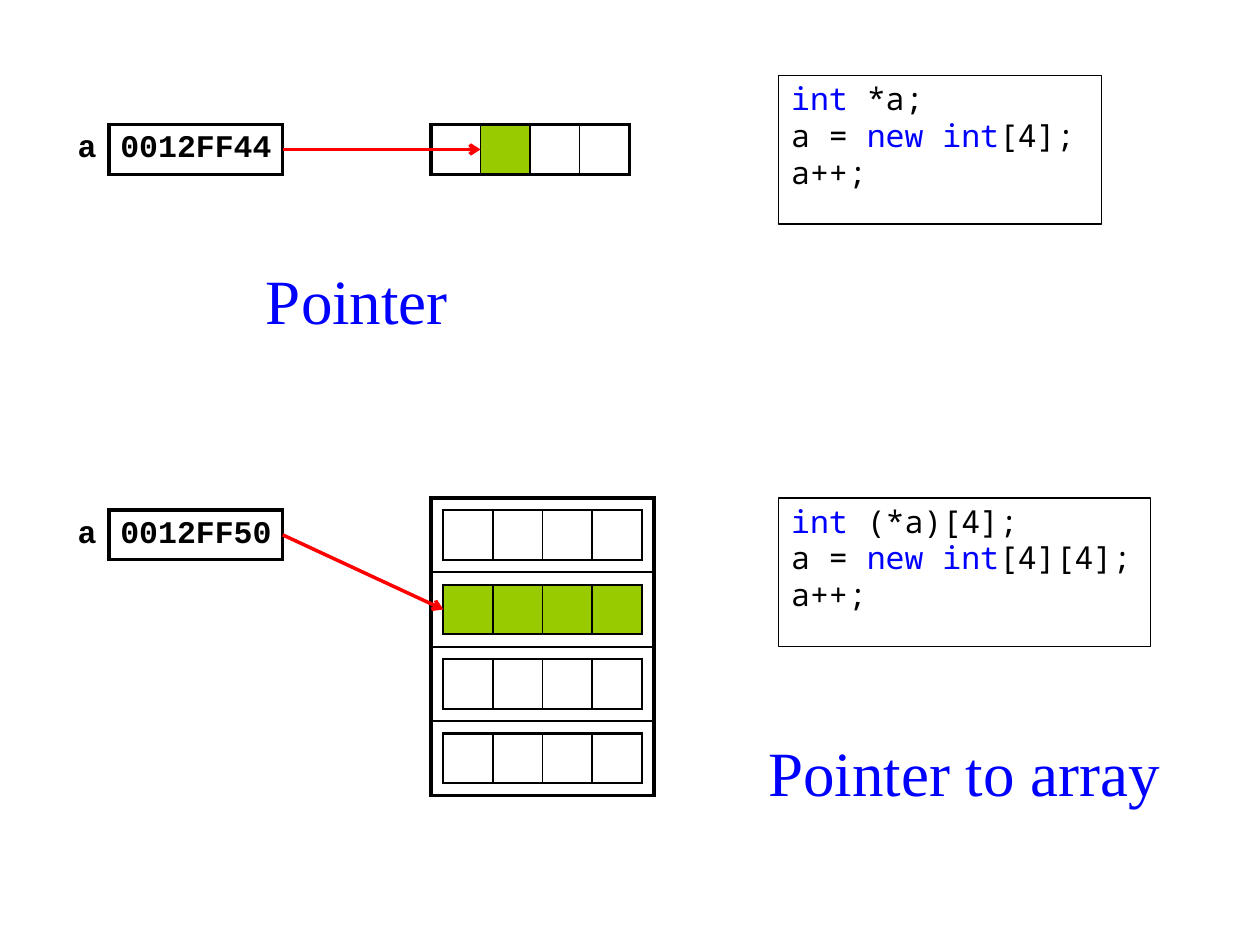
from lxml.etree import SubElement
from pptx import Presentation
from pptx.dml.color import RGBColor
from pptx.enum.shapes import MSO_CONNECTOR, MSO_SHAPE
from pptx.enum.text import MSO_ANCHOR, PP_ALIGN
from pptx.oxml.ns import qn
from pptx.util import Pt

BLACK = RGBColor(0, 0, 0)
WHITE = RGBColor(255, 255, 255)
BLUE = RGBColor(0, 0, 255)
RED = RGBColor(255, 0, 0)
GREEN = RGBColor(0x99, 0xCC, 0)

# Content: code lines are lists of (text, colour) runs
CODE = [
    ((445, 43, 184.5, 85), [
        [("int", BLUE), (" *a;", BLACK)],
        [("a = ", BLACK), ("new int", BLUE), ("[4];", BLACK)],
        [("a++;", BLACK)]]),
    ((445, 284.5, 212.5, 85), [
        [("int", BLUE), (" (*a)[4];", BLACK)],
        [("a = ", BLACK), ("new int", BLUE), ("[4][4];", BLACK)],
        [("a++;", BLACK)]]),
]
HEADINGS = [("Pointer", (133, 142.5, 142, 57)),
            ("Pointer to array", (430.5, 412, 241, 57))]
POINTERS = [("0012FF44", 71.25), ("0012FF50", 291.5)]

# Geometry: small cells are squares, matrix rows leave a gap around them
CELL = 28.35
GAP = CELL / 4
POINTER_X, ADDRESS_W = 34, 99.25
POINTER_END = POINTER_X + CELL + ADDRESS_W
ARRAY_X, ARRAY_Y = 246.25, POINTERS[0][1]
MATRIX_Y = 284.5
ROW_H = CELL + 2 * GAP
N = 4
SELECTED = 1

prs = Presentation()
prs.slide_width, prs.slide_height = Pt(720), Pt(540)
s = prs.slides.add_slide(prs.slide_layouts[6])


def set_borders(cell, widths):
    """Draw left, right, top and bottom borders; a width of 0 means none."""
    tcPr = cell._tc.get_or_add_tcPr()
    for side, width in zip("LRTB", widths):
        ln = SubElement(tcPr, qn(f"a:ln{side}"), w=str(Pt(width)))
        if width:
            fill = SubElement(ln, qn("a:solidFill"))
            SubElement(fill, qn("a:srgbClr"), val=str(BLACK))
        else:
            SubElement(ln, qn("a:noFill"))


def add_grid(x, y, col_widths, row_heights, outer, inner):
    frame = s.shapes.add_table(len(row_heights), len(col_widths), Pt(x), Pt(y),
                               Pt(sum(col_widths)), Pt(sum(row_heights)))
    table = frame.table
    table.first_row = table.horz_banding = False
    for column, width in zip(table.columns, col_widths):
        column.width = Pt(width)
    for row, height in zip(table.rows, row_heights):
        row.height = Pt(height)
    last_row, last_col = len(row_heights) - 1, len(col_widths) - 1
    for i, row in enumerate(table.rows):
        for j, cell in enumerate(row.cells):
            edges = (j == 0, j == last_col, i == 0, i == last_row)
            set_borders(cell, [outer if edge else inner for edge in edges])
            cell.fill.background()
            cell.margin_left = cell.margin_right = 0
            cell.margin_top = cell.margin_bottom = 0
    return table


def add_array(x, y, outer, selected):
    table = add_grid(x, y, [CELL] * N, [CELL], outer, 1)
    for i, cell in enumerate(table.rows[0].cells):
        cell.fill.solid()
        cell.fill.fore_color.rgb = GREEN if i in selected else WHITE


def add_run(p, text, font, size, color, bold=False):
    r = p.add_run()
    r.text = text
    r.font.name, r.font.size, r.font.bold = font, Pt(size), bold
    r.font.color.rgb = color


def add_pointer(address, y):
    table = add_grid(POINTER_X, y, [CELL, ADDRESS_W], [CELL], 0, 0)
    columns = [("a", PP_ALIGN.RIGHT, 7.2, (0, 2.25, 0, 0)),
               (address, PP_ALIGN.CENTER, 5.6, (2.25,) * 4)]
    for cell, (text, align, margin, widths) in zip(table.rows[0].cells, columns):
        tcPr = cell._tc.get_or_add_tcPr()
        for child in list(tcPr):
            tcPr.remove(child)
        set_borders(cell, widths)
        cell.fill.background()
        cell.margin_left = cell.margin_right = Pt(margin)
        cell.vertical_anchor = MSO_ANCHOR.MIDDLE
        p = cell.text_frame.paragraphs[0]
        p.alignment = align
        add_run(p, text, "Courier New", 18, BLACK, True)


def add_arrow(x1, y1, x2, y2):
    sp = s.shapes.add_connector(MSO_CONNECTOR.STRAIGHT, Pt(x1), Pt(y1), Pt(x2), Pt(y2))
    sp.line.color.rgb, sp.line.width = RED, Pt(2)
    SubElement(sp.line._get_or_add_ln(), qn("a:tailEnd"), type="arrow")
    SubElement(sp._element.spPr, qn("a:effectLst"))


# Code boxes
for box, lines in CODE:
    sp = s.shapes.add_shape(MSO_SHAPE.RECTANGLE, *map(Pt, box))
    sp.shadow.inherit = False
    sp.fill.background()
    sp.line.color.rgb, sp.line.width = BLACK, Pt(0.75)
    tf = sp.text_frame
    tf.word_wrap = True
    tf.vertical_anchor = MSO_ANCHOR.TOP
    tf.margin_top = Pt(4.6)
    for i, line in enumerate(lines):
        p = tf.add_paragraph() if i else tf.paragraphs[0]
        p.alignment = PP_ALIGN.LEFT
        p.line_spacing = 0.9
        if i:
            p.space_before = Pt(1.6)
        for text, color in line:
            add_run(p, text, "Noto Sans Mono", 18, color)

# Headings
for text, box in HEADINGS:
    tf = s.shapes.add_textbox(*map(Pt, box)).text_frame
    tf.word_wrap = True
    tf.vertical_anchor = MSO_ANCHOR.MIDDLE
    p = tf.paragraphs[0]
    p.alignment = PP_ALIGN.CENTER
    add_run(p, text, "Times New Roman", 36, BLUE)

# Pointers, the array and the array of arrays
for address, y in POINTERS:
    add_pointer(address, y)
add_array(ARRAY_X, ARRAY_Y, 2.25, [SELECTED])
add_grid(ARRAY_X, MATRIX_Y, [N * CELL + 2 * GAP], [ROW_H] * N, 2.25, 1.5)
for i in range(N):
    add_array(ARRAY_X + GAP, MATRIX_Y + GAP + i * ROW_H, 1.5,
              range(N) if i == SELECTED else [])

# Arrows to the selected element and the selected row
add_arrow(POINTER_END, ARRAY_Y + CELL / 2,
          ARRAY_X + SELECTED * CELL, ARRAY_Y + CELL / 2)
add_arrow(POINTER_END, POINTERS[1][1] + CELL / 2,
          ARRAY_X + GAP, MATRIX_Y + (SELECTED + 0.5) * ROW_H)

prs.save("out.pptx")
